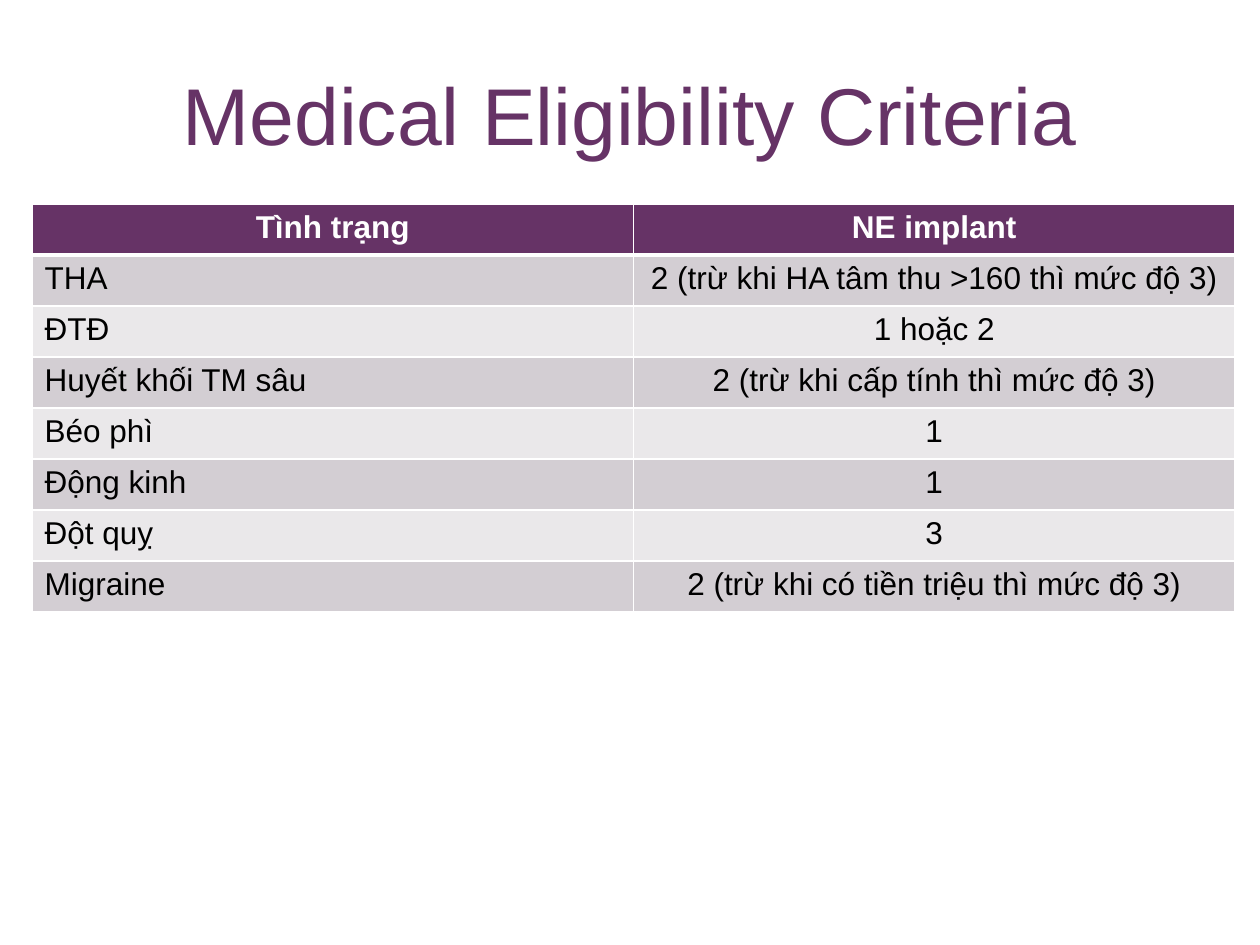
import pptx
import pptx.dml.color
import pptx.enum.text
import pptx.oxml
import pptx.oxml.ns
import pptx.util

PURPLE = pptx.dml.color.RGBColor(0x66, 0x33, 0x66)
DARK_BAND = pptx.dml.color.RGBColor(0xD3, 0xCE, 0xD3)
LIGHT_BAND = pptx.dml.color.RGBColor(0xEA, 0xE8, 0xEA)
WHITE = pptx.dml.color.RGBColor(0xFF, 0xFF, 0xFF)
BLACK = pptx.dml.color.RGBColor(0x00, 0x00, 0x00)
FONT = "Arial"
PX_PER_INCH = 126
CRITERIA = [
    ("Tình trạng", "NE implant"),
    ("THA", "2 (trừ khi HA tâm thu >160 thì mức độ 3)"),
    ("ĐTĐ", "1 hoặc 2"),
    ("Huyết khối TM sâu", "2 (trừ khi cấp tính thì mức độ 3)"),
    ("Béo phì", "1"),
    ("Động kinh", "1"),
    ("Đột quỵ", "3"),
    ("Migraine", "2 (trừ khi có tiền triệu thì mức độ 3)"),
]


def px(length):
    """Turn a length in px into EMU."""
    return pptx.util.Emu(round(length * 914400 / PX_PER_INCH))


def format_paragraph(paragraph, size, color, centered, bold=False):
    """Set the alignment of a paragraph and the font of its runs."""
    alignment = pptx.enum.text.PP_ALIGN
    paragraph.alignment = alignment.CENTER if centered else alignment.LEFT
    for run in paragraph.runs:
        run.font.name = FONT
        run.font.size = pptx.util.Pt(size)
        run.font.bold = bold
        run.font.color.rgb = color


def set_borders(cell, widths):
    """Draw white cell borders; widths are points for left, right, top, bottom."""
    properties = cell._tc.get_or_add_tcPr()
    for index, (side, width) in enumerate(zip("LRTB", widths)):
        line = pptx.oxml.parse_xml(
            f'<a:ln{side} {pptx.oxml.ns.nsdecls("a")} w="{pptx.util.Pt(width)}">'
            f'<a:solidFill><a:srgbClr val="{WHITE}"/></a:solidFill></a:ln{side}>'
        )
        properties.insert(index, line)


def add_title(slide, left, top, width, height):
    """Place the slide title at the bottom of its box."""
    shape = slide.shapes.add_textbox(px(left), px(top), px(width), px(height))
    text_frame = shape.text_frame
    text_frame.word_wrap = True
    text_frame.vertical_anchor = pptx.enum.text.MSO_ANCHOR.BOTTOM
    text_frame.text = "Medical Eligibility Criteria"
    format_paragraph(text_frame.paragraphs[0], 46, PURPLE, centered=True)


def add_criteria_table(slide, left, top, width, height):
    """Fill the box with the criteria in equal rows and columns."""
    row_count, column_count = len(CRITERIA), len(CRITERIA[0])
    shape = slide.shapes.add_table(
        row_count, column_count, px(left), px(top), px(width), px(height)
    )
    for row_index, texts in enumerate(CRITERIA):
        header = row_index == 0
        band = DARK_BAND if row_index % 2 else LIGHT_BAND
        for column_index, text in enumerate(texts):
            cell = shape.table.cell(row_index, column_index)
            cell.text_frame.text = text
            cell.fill.solid()
            cell.fill.fore_color.rgb = PURPLE if header else band
            format_paragraph(
                cell.text_frame.paragraphs[0],
                18,
                WHITE if header else BLACK,
                centered=header or column_index > 0,
                bold=header,
            )
            top_width = 3 if row_index == 1 else 1
            set_borders(cell, (1, 1, top_width, 3 if header else 1))


def main():
    """Build the slide and save it."""
    presentation = pptx.Presentation()
    presentation.slide_width = px(1260)
    presentation.slide_height = px(945)
    slide = presentation.slides.add_slide(presentation.slide_layouts[6])
    add_title(slide, 75, 16, 1109, 152)
    add_criteria_table(slide, 32, 204, 1203, 408)
    presentation.save("out.pptx")


if __name__ == "__main__":
    main()
